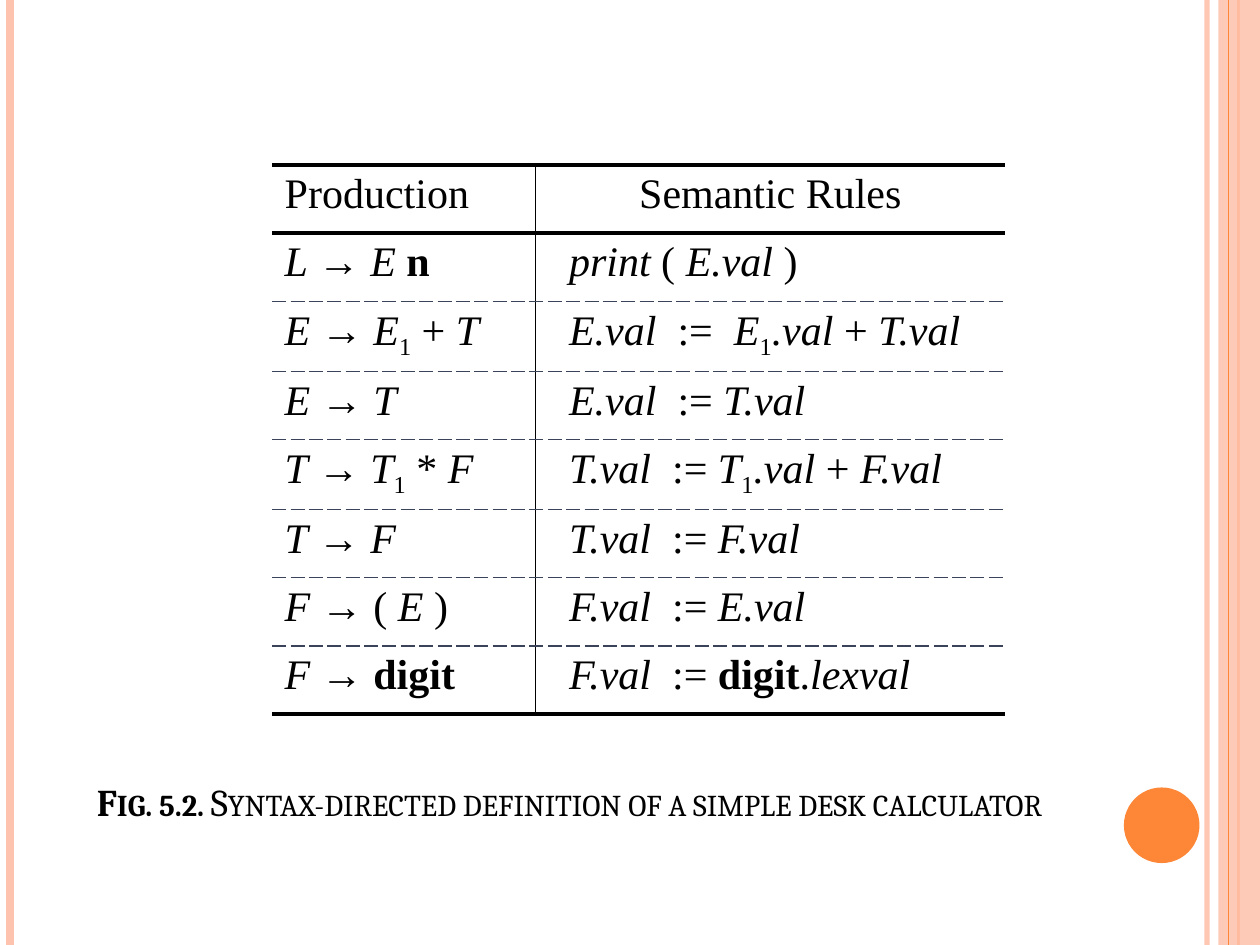
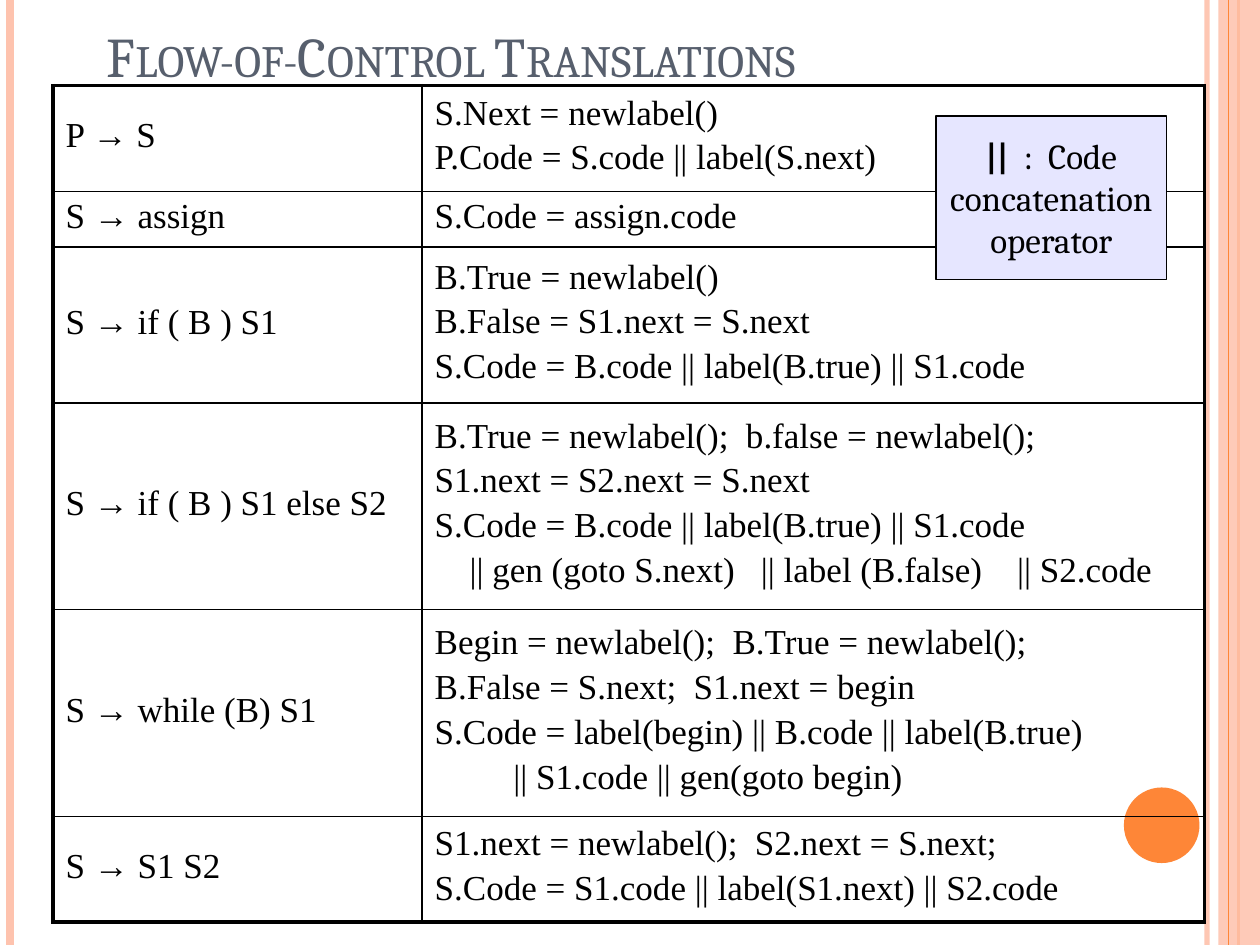
import pptx
import pptx.dml.color
import pptx.enum.dml
import pptx.enum.shapes
import pptx.enum.text
import pptx.oxml
import pptx.oxml.ns
import pptx.util
from dataclasses import dataclass
from typing import NamedTuple

# Slide grid: 100 columns by 75 rows of square units
WIDTH, HEIGHT = pptx.util.Inches(10), pptx.util.Inches(7.5)
COLUMNS, ROWS = 100, 75

# Shared colours and fonts
BLACK, SLATE, NAVY = "000000", "575F6D", "3B435B"
ORANGE, PEACH, LAVENDER = "FE8637", "FEC3AE", "E6E6FF"
CAMBRIA, TIMES, ARIAL = "Cambria", "Times New Roman", "Arial"

ALIGN = pptx.enum.text.PP_ALIGN
ANCHOR = pptx.enum.text.MSO_ANCHOR
SHAPE = pptx.enum.shapes.MSO_SHAPE


class Run(NamedTuple):
    text: str
    marks: str = ""  # i italic, b bold, s subscript, c small capitals
    font: str = ""


class Box(NamedTuple):
    left: float
    top: float
    width: float
    height: float


class Rule(NamedTuple):
    color: str
    points: float
    dash: str = "solid"


class Stripe(NamedTuple):
    column: float
    color: str
    points: float
    opacity: int = 100


@dataclass(frozen=True)
class TextStyle:
    font: str
    size: float
    color: str = BLACK
    align: ALIGN = ALIGN.LEFT
    spacing: float = 1.0
    gap: float = 0
    indent: float = 0


@dataclass(frozen=True)
class Borders:
    outer_x: Rule | None
    outer_y: Rule
    header: Rule
    inner_x: Rule
    inner_y: Rule


def col(count: float) -> int:
    return round(WIDTH * count / COLUMNS)


def row(count: float) -> int:
    return round(HEIGHT * count / ROWS)


def place(box: Box) -> tuple[int, int, int, int]:
    return col(box.left), row(box.top), col(box.width), row(box.height)


def paint(target, color: str, opacity: int = 100) -> None:
    """Give a fill a solid colour, see-through below 100."""
    target.solid()
    target.fore_color.rgb = pptx.dml.color.RGBColor.from_string(color)
    if opacity < 100:
        srgb = target._xPr.find(".//" + pptx.oxml.ns.qn("a:srgbClr"))
        alpha = pptx.oxml.parse_xml(
            f'<a:alpha {pptx.oxml.ns.nsdecls("a")} val="{opacity * 1000}"/>')
        srgb.append(alpha)


# Text
def write(frame, paragraphs: list[list[Run]], style: TextStyle) -> None:
    for index, runs in enumerate(paragraphs):
        paragraph = frame.add_paragraph() if index else frame.paragraphs[0]
        paragraph.alignment = style.align
        paragraph.line_spacing = style.spacing
        if index:
            paragraph.space_before = pptx.util.Pt(style.gap)
        if style.indent:
            paragraph._p.get_or_add_pPr().set("marL", str(col(style.indent)))
        for piece in runs:
            run = paragraph.add_run()
            run.text = piece.text
            run.font.name = piece.font or style.font
            run.font.size = pptx.util.Pt(style.size)
            run.font.italic = "i" in piece.marks
            run.font.bold = "b" in piece.marks
            paint(run.font.fill, style.color)
            if "s" in piece.marks:
                run._r.get_or_add_rPr().set("baseline", "-25000")
            if "c" in piece.marks:
                run._r.get_or_add_rPr().set("cap", "small")


def add_title(slide, box: Box, runs: list[Run], style: TextStyle) -> None:
    frame = slide.shapes.add_textbox(*place(box)).text_frame
    frame.word_wrap = True
    frame.vertical_anchor = ANCHOR.BOTTOM
    write(frame, [runs], style)


# Shapes
def add_block(slide, kind: SHAPE, box: Box, color: str, opacity: int = 100):
    block = slide.shapes.add_shape(kind, *place(box))
    block.shadow.inherit = False
    paint(block.fill, color, opacity)
    block.line.fill.background()
    return block


def add_stripe(slide, stripe: Stripe) -> None:
    x = col(stripe.column)
    line = slide.shapes.add_connector(
        pptx.enum.shapes.MSO_CONNECTOR.STRAIGHT, x, 0, x, HEIGHT)
    line.line.width = pptx.util.Pt(stripe.points)
    paint(line.line.fill, stripe.color, stripe.opacity)
    line._element.spPr.append(pptx.oxml.parse_xml(
        f'<a:effectLst {pptx.oxml.ns.nsdecls("a")}/>'))


def add_decorated_slide(deck):
    """Blank slide with the side bands and the orange disc."""
    slide = deck.slides.add_slide(deck.slide_layouts[6])
    paint(slide.background.fill, "FFFFFF")
    for stripe in (Stripe(95.8, PEACH, 3, 93), Stripe(0.8, PEACH, 4.5),
                   Stripe(98.3, ORANGE, 1.5)):
        add_stripe(slide, stripe)
    add_block(slide, SHAPE.RECTANGLE, Box(96.7, 0, 3.3, ROWS), PEACH, 87)
    add_stripe(slide, Stripe(97.5, ORANGE, 0.75))
    add_block(slide, SHAPE.OVAL, Box(89.2, 62.5, 6, 6), ORANGE)
    return slide


# Tables
def set_border(cell, side: str, rule: Rule | None) -> None:
    width = f' w="{pptx.util.Pt(rule.points)}"' if rule else ""
    ink = (f'<a:solidFill><a:srgbClr val="{rule.color}"/></a:solidFill>'
           f'<a:prstDash val="{rule.dash}"/>') if rule else "<a:noFill/>"
    cell._tc.get_or_add_tcPr().append(pptx.oxml.parse_xml(
        f'<a:ln{side} {pptx.oxml.ns.nsdecls("a")}{width}>{ink}</a:ln{side}>'))


def add_grid(slide, left: float, top: float, widths: list[float],
             heights: list[float], borders: Borders):
    """Add an unfilled table and rule its cells."""
    box = Box(left, top, sum(widths), sum(heights))
    table = slide.shapes.add_table(
        len(heights), len(widths), *place(box)).table
    table.first_row = table.horz_banding = False
    for column, width in zip(table.columns, widths):
        column.width = col(width)
    for line, height in zip(table.rows, heights):
        line.height = row(height)
    across = ([borders.outer_y, borders.header]
              + [borders.inner_y] * (len(heights) - 2) + [borders.outer_y])
    down = ([borders.outer_x] + [borders.inner_x] * (len(widths) - 1)
            + [borders.outer_x])
    for r in range(len(heights)):
        for c in range(len(widths)):
            cell = table.cell(r, c)
            for side, rule in zip("LRTB", (down[c], down[c + 1],
                                           across[r], across[r + 1])):
                set_border(cell, side, rule)
            cell.fill.background()
    return table


# Slide 1: desk calculator grammar
def production(head: str, *tail: Run) -> list[Run]:
    return [Run(f"{head} ", "i"), Run("→ "), *tail]


def assignment(head: str, *tail: Run, sign: str = ":= ") -> list[Run]:
    return [Run(f"{head}.val  ", "i"), Run(sign), *tail]


ONE = Run("1", "s")
CALCULATOR = [
    (production("L", Run("E ", "i"), Run("n", "b")),
     [Run("print", "i"), Run(" ( "), Run("E.val", "i"), Run(" )")]),
    (production("E", Run("E", "i"), ONE, Run(" + "), Run("T", "i")),
     assignment("E", Run("E", "i"), ONE, Run(".val ", "i"), Run("+ "),
                Run("T.val", "i"), sign=":=  ")),
    (production("E", Run("T", "i")), assignment("E", Run("T.val", "i"))),
    (production("T", Run("T", "i"), ONE, Run(" * "), Run("F", "i")),
     assignment("T", Run("T", "i"), ONE, Run(".val ", "i"), Run("+ "),
                Run("F.val", "i"))),
    (production("T", Run("F", "i")), assignment("T", Run("F.val", "i"))),
    (production("F", Run("( "), Run("E ", "i"), Run(")")),
     assignment("F", Run("E.val", "i"))),
    (production("F", Run("digit", "b")),
     assignment("F", Run("digit", "b"), Run("."), Run("lexval", "i"))),
]


def build_calculator(deck) -> None:
    slide = add_decorated_slide(deck)
    add_title(slide, Box(6.7, 58.8, 88.2, 7.1),
              [Run("Fig. 5.2.", "bc"),
               Run(" Syntax-directed definition of a simple desk calculator",
                   "c")], TextStyle(CAMBRIA, 21.6))
    heavy = Rule(BLACK, 2.25)
    borders = Borders(None, heavy, heavy, Rule(BLACK, 1),
                      Rule(NAVY, 1, "sysDash"))
    line_count = len(CALCULATOR) + 1
    table = add_grid(slide, 21.6, 13.1, [20.9, 37.3],
                     [43.3 / line_count] * line_count, borders)
    left = TextStyle(TIMES, 24)
    centred = TextStyle(TIMES, 24, align=ALIGN.CENTER)
    indented = TextStyle(TIMES, 24, indent=1.67)
    write(table.cell(0, 0).text_frame, [[Run("Production")]], left)
    write(table.cell(0, 1).text_frame, [[Run("Semantic Rules")]], centred)
    for r, (grammar, semantics) in enumerate(CALCULATOR, start=1):
        write(table.cell(r, 0).text_frame, [grammar], left)
        write(table.cell(r, 1).text_frame, [semantics], indented)


# Slide 2: flow-of-control translations
class Translation(NamedTuple):
    head: str
    body: str
    code: list[str]
    height: float


TRANSLATIONS = [
    Translation("P", "S", ["S.Next = newlabel()",
                           "P.Code = S.code || label(S.next)"], 8.4),
    Translation("S", "assign", ["S.Code = assign.code"], 4.4),
    Translation("S", "if ( B ) S1", [
        "B.True = newlabel()",
        "B.False = S1.next = S.next",
        "S.Code = B.code || label(B.true) || S1.code"], 12.4),
    Translation("S", "if ( B ) S1 else S2", [
        "B.True = newlabel();  b.false = newlabel();",
        "S1.next = S2.next = S.next",
        "S.Code = B.code || label(B.true) || S1.code",
        "    || gen (goto S.next)   || label (B.false)    || S2.code"], 16.4),
    Translation("S", "while (B) S1", [
        "Begin = newlabel();  B.True = newlabel();",
        "B.False = S.next;  S1.next = begin",
        "S.Code = label(begin) || B.code || label(B.true)",
        "         || S1.code || gen(goto begin)"], 16.4),
    Translation("S", "S1 S2", [
        "S1.next = newlabel();  S2.next = S.next;",
        "S.Code = S1.code || label(S1.next) || S2.code"], 8.4),
]


def build_translations(deck) -> None:
    slide = add_decorated_slide(deck)
    add_title(slide, Box(7.5, 0.8, 84.2, 6.7),
              [Run("Flow-of-Control Translations", "c")],
              TextStyle(CAMBRIA, 32, SLATE))
    heavy, thin = Rule(BLACK, 2.25), Rule(BLACK, 1)
    table = add_grid(slide, 4.2, 6.8, [29.3, 62.1],
                     [item.height for item in TRANSLATIONS],
                     Borders(heavy, heavy, thin, thin, thin))
    style = TextStyle(TIMES, 20, spacing=0.93, gap=5)
    for r, item in enumerate(TRANSLATIONS):
        grammar = [Run(f"{item.head} "), Run("→", font=ARIAL),
                   Run(f" {item.body}")]
        code = [[Run(line)] for line in item.code]
        for c, paragraphs in enumerate(([grammar], code)):
            cell = table.cell(r, c)
            cell.vertical_anchor = ANCHOR.MIDDLE
            cell.margin_top = row(0.2)
            write(cell.text_frame, paragraphs, style)

    # Operator note
    note = add_block(slide, SHAPE.RECTANGLE, Box(74.3, 9.2, 18.3, 13), LAVENDER)
    paint(note.line.fill, BLACK)
    note.line.width = pptx.util.Pt(0.75)
    note.text_frame.word_wrap = False
    note.text_frame.vertical_anchor = ANCHOR.MIDDLE
    write(note.text_frame,
          [[Run("||", "b"), Run("  :  Code")], [Run("concatenation")],
           [Run("operator")]], TextStyle(CAMBRIA, 20, align=ALIGN.CENTER))


def main() -> None:
    deck = pptx.Presentation()
    deck.slide_width, deck.slide_height = WIDTH, HEIGHT
    build_calculator(deck)
    build_translations(deck)
    deck.save("out.pptx")


if __name__ == "__main__":
    main()
